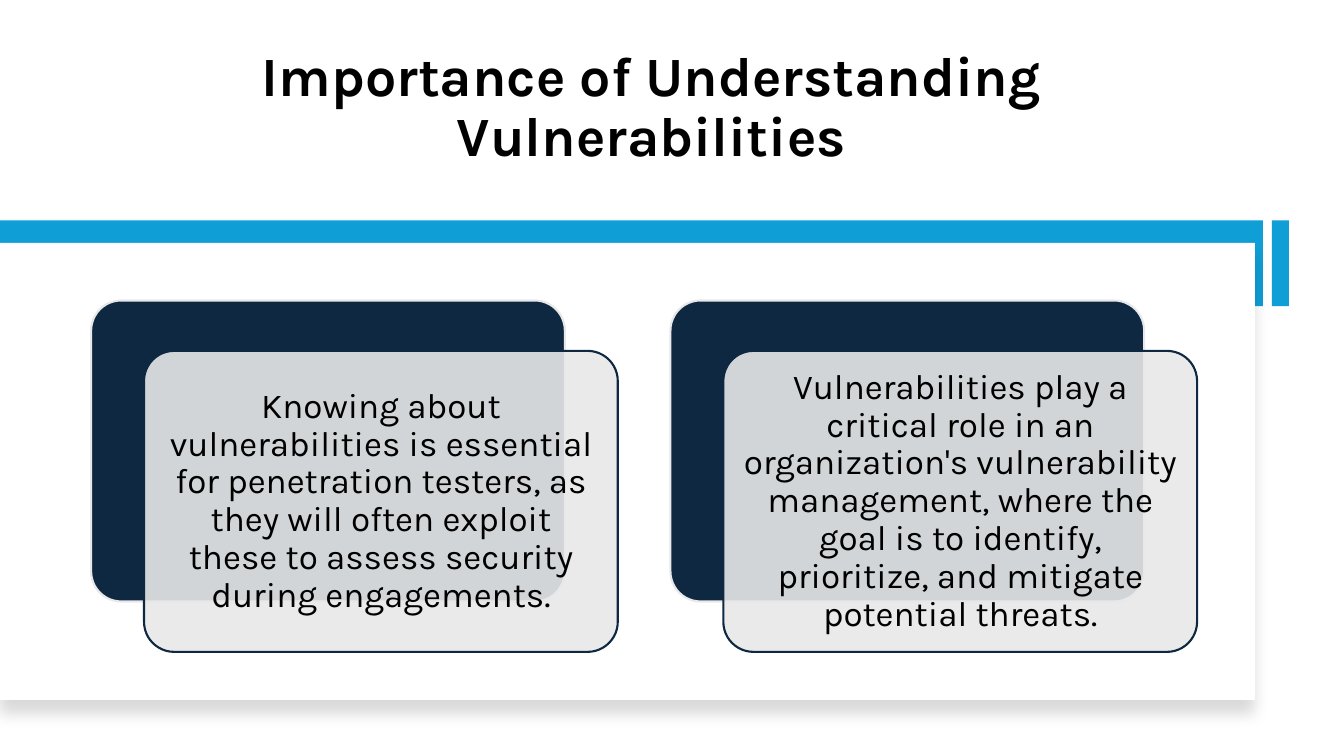
from dataclasses import dataclass

from lxml import etree
from pptx import Presentation
from pptx.dml.color import RGBColor
from pptx.enum.shapes import MSO_SHAPE
from pptx.enum.text import MSO_ANCHOR, MSO_AUTO_SIZE, PP_ALIGN
from pptx.oxml.ns import qn
from pptx.util import Pt

RECTANGLE = MSO_SHAPE.RECTANGLE
ROUNDED = MSO_SHAPE.ROUNDED_RECTANGLE
MIDDLE = MSO_ANCHOR.MIDDLE
BOTTOM = MSO_ANCHOR.BOTTOM
CENTER = PP_ALIGN.CENTER
NO_AUTOFIT = MSO_AUTO_SIZE.NONE


@dataclass(frozen=True)
class Theme:
    font: str = "Karla"
    title_size: float = 39.6
    body_size: float = 25
    line_spacing: float = 0.9
    text: str = "000000"
    paper: str = "FFFFFF"
    accent: str = "0F9ED5"
    navy: str = "0E2841"
    mist: str = "E8E8E8"


class SlideBuilder:
    def __init__(self, page, theme):
        self.page = page
        self.theme = theme

    def fill_text(self, box, text, size, anchor, bold=False, inset=None):
        frame = box.text_frame
        frame.text = text
        frame_format = {"word_wrap": True, "auto_size": NO_AUTOFIT, "vertical_anchor": anchor}
        if inset is not None:
            for side in ("left", "top", "right", "bottom"):
                frame_format[f"margin_{side}"] = Pt(inset)
        para = frame.paragraphs[0]
        para_format = {"alignment": CENTER, "line_spacing": self.theme.line_spacing,
                       "space_before": Pt(0)}
        font_format = {"name": self.theme.font, "size": Pt(size), "bold": bold}
        for target, values in ((frame, frame_format), (para, para_format),
                               (para.runs[0].font, font_format)):
            for name, value in values.items():
                setattr(target, name, value)
        para.runs[0].font.color.rgb = RGBColor.from_string(self.theme.text)

    def title(self, text, left, top, width, height):
        box = self.page.shapes.title
        place = {"left": left, "top": top, "width": width, "height": height}
        for name, value in place.items():
            setattr(box, name, Pt(value))
        self.fill_text(box, text, self.theme.title_size, BOTTOM, bold=True)

    def text(self, text, left, top, width, height):
        box = self.page.shapes.add_textbox(Pt(left), Pt(top), Pt(width), Pt(height))
        self.fill_text(box, text, self.theme.body_size, MIDDLE, inset=7.2)

    def shape(self, kind, fill, left, top, width, height, line=None, opacity=None):
        box = self.page.shapes.add_shape(kind, Pt(left), Pt(top), Pt(width), Pt(height))
        box.shadow.inherit = False
        box.fill.solid()
        box.fill.fore_color.rgb = RGBColor.from_string(fill)
        if opacity is not None:
            color = box._element.spPr.find(qn("a:solidFill"))[0]
            etree.SubElement(color, qn("a:alpha"), val=str(opacity * 1000))
        if line is None:
            box.line.fill.background()
        else:
            box.line.color.rgb = RGBColor.from_string(line)
            box.line.width = Pt(1.5)
        if kind == ROUNDED:
            box.adjustments[0] = 0.1
        return box

    def drop_shadow(self, box, blur, distance, opacity):
        effects = box._element.spPr.find(qn("a:effectLst"))
        shadow = etree.SubElement(effects, qn("a:outerShdw"), blurRad=str(int(Pt(blur))),
                                  dist=str(int(Pt(distance))), dir="5400000", algn="t",
                                  rotWithShape="0")
        color = etree.SubElement(shadow, qn("a:srgbClr"), val=self.theme.text)
        etree.SubElement(color, qn("a:alpha"), val=str(opacity * 1000))

    def card(self, text, left, top, width, height):
        theme = self.theme
        shift_x, shift_y, pad = 37.8, 36, 6
        self.shape(ROUNDED, theme.navy, left, top, width, height, line=theme.mist)
        left, top = left + shift_x, top + shift_y
        self.shape(ROUNDED, theme.mist, left, top, width, height, line=theme.navy, opacity=90)
        self.text(text, left + pad, top + pad, width - 2 * pad, height - 2 * pad)


def main():
    deck = Presentation()
    deck.slide_width, deck.slide_height = Pt(960), Pt(540)
    theme = Theme()
    slide = SlideBuilder(deck.slides.add_slide(deck.slide_layouts[5]), theme)

    slide.title("Importance of Understanding Vulnerabilities", 63.4, 30.2, 803.5, 93.6)

    band_top, band_height = 157.5, 61.2
    slide.shape(RECTANGLE, theme.accent, 908.6, band_top, 12.2, band_height)
    slide.shape(RECTANGLE, theme.accent, 0, band_top, 902, band_height)
    panel = slide.shape(RECTANGLE, theme.paper, 0, 173.5, 896.4, 326.5)
    slide.drop_shadow(panel, blur=11, distance=10, opacity=15)

    messages = (
        "Knowing about vulnerabilities is essential for penetration testers, "
        "as they will often exploit these to assess security during engagements.",
        "Vulnerabilities play a critical role in an organization's vulnerability management, "
        "where the goal is to identify, prioritize, and mitigate potential threats.",
    )
    first_left, pitch = 65.1, 413.8
    for index, message in enumerate(messages):
        slide.card(message, first_left + index * pitch, 214.6, 338.4, 215)

    deck.save("out.pptx")


if __name__ == "__main__":
    main()
